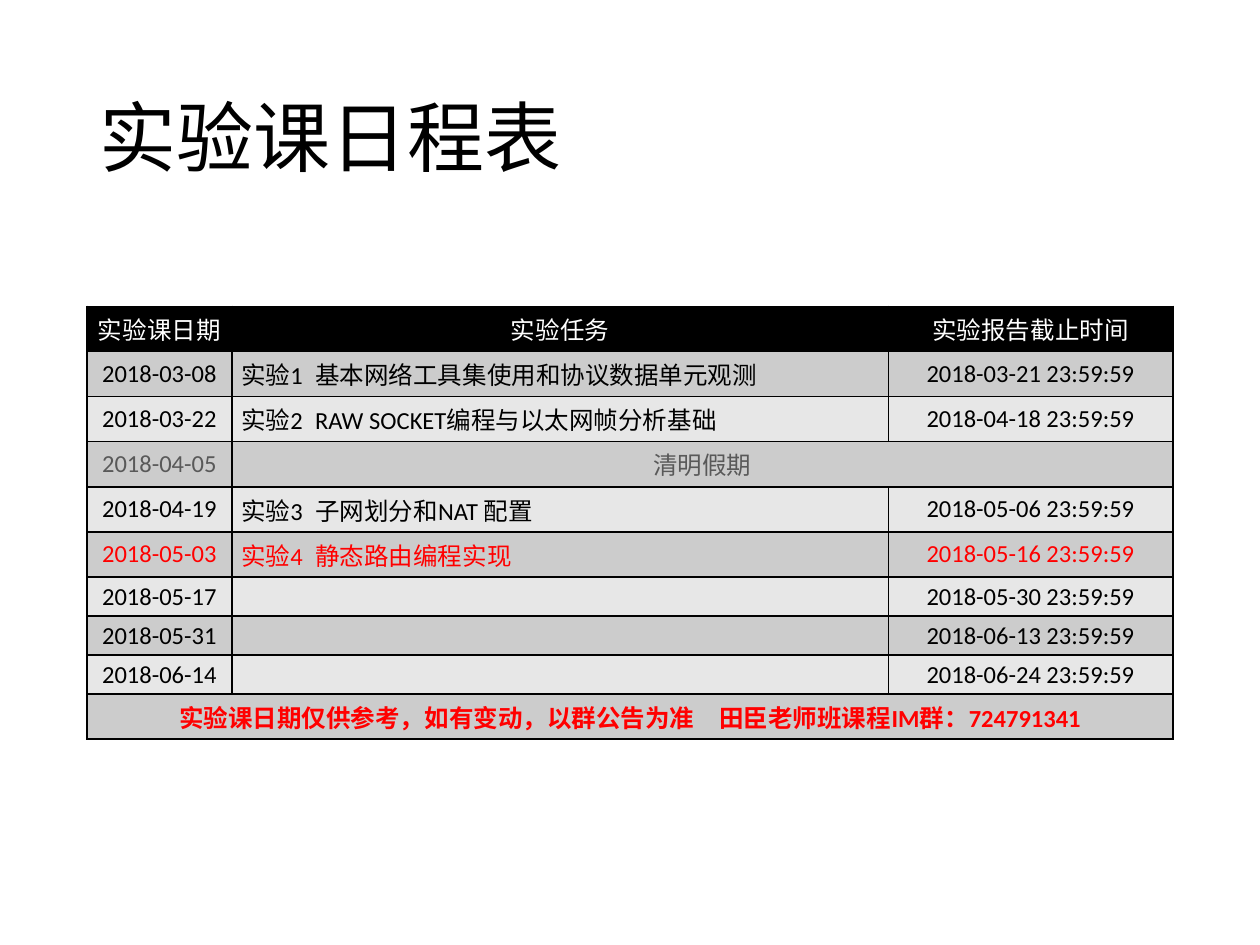
from lxml import etree
from pptx import Presentation
from pptx.dml.color import RGBColor
from pptx.enum import text
from pptx.oxml.ns import qn
from pptx.util import Pt

FONT = "Calibri"
BLACK, WHITE, RED, GREY = "000000", "FFFFFF", "FF0000", "595959"
BANDS = ("E7E7E7", "CCCCCC")
LEFT, WIDTH = 49.7, 620.6
COLUMN_WIDTHS = (82.8, 375.1, 162.7)
ROW_HEIGHT, OPEN_ROW_HEIGHT = 25.8, 22.3
BODY_SIZE = 14
CENTER, START = text.PP_ALIGN.CENTER, text.PP_ALIGN.LEFT

# Each row: text colour, then date, task and report deadline
SCHEDULE = (
    (WHITE, "实验课日期", "实验任务", "实验报告截止时间"),
    (BLACK, "2018-03-08", "实验1\u2002基本网络工具集使用和协议数据单元观测", "2018-03-21 23:59:59"),
    (BLACK, "2018-03-22", "实验2\u2002RAW SOCKET编程与以太网帧分析基础", "2018-04-18 23:59:59"),
    (GREY, "2018-04-05", "清明假期", ""),
    (BLACK, "2018-04-19", "实验3\u2002子网划分和NAT 配置", "2018-05-06 23:59:59"),
    (RED, "2018-05-03", "实验4\u2002静态路由编程实现", "2018-05-16 23:59:59"),
    (BLACK, "2018-05-17", "", "2018-05-30 23:59:59"),
    (BLACK, "2018-05-31", "", "2018-06-13 23:59:59"),
    (BLACK, "2018-06-14", "", "2018-06-24 23:59:59"),
    (RED, "实验课日期仅供参考，如有变动，以群公告为准\u3000田臣老师班课程IM群：724791341", "", ""),
)
HEADER, HOLIDAY, NOTICE = 0, 3, len(SCHEDULE) - 1
MERGES = ((HOLIDAY, 1), (NOTICE, 0))


def color(value):
    """Turn a hex string into a colour."""
    return RGBColor.from_string(value)


def apply(target, formats):
    """Set each attribute in formats on target."""
    for name, value in formats.items():
        setattr(target, name, value)


def write(paragraph, wording, size, ink, bold=False):
    """Put one formatted run in a paragraph."""
    run = paragraph.add_run()
    run.text = wording
    apply(run.font, {"name": FONT, "size": Pt(size), "bold": bold})
    run.font.color.rgb = color(ink)


def add_title(slide, wording):
    """Add the slide heading."""
    heading = slide.shapes.add_textbox(Pt(LEFT), Pt(28.8), Pt(WIDTH), Pt(104.4))
    apply(heading.text_frame, {"word_wrap": True,
                               "vertical_anchor": text.MSO_ANCHOR.MIDDLE})
    line = heading.text_frame.paragraphs[0]
    line.line_spacing = 0.9
    write(line, wording, 44, BLACK)


def add_borders(cell):
    """Draw thin black lines on all four sides of a cell."""
    properties = cell._tc.get_or_add_tcPr()
    for position, side in enumerate(("lnL", "lnR", "lnT", "lnB")):
        border = etree.Element(qn(f"a:{side}"), w=str(Pt(1)))
        fill = etree.SubElement(border, qn("a:solidFill"))
        etree.SubElement(fill, qn("a:srgbClr"), val=BLACK)
        properties.insert(position, border)


def fill_cell(cell, wording, ink, background, align, bold):
    """Format one cell and write its wording."""
    apply(cell, {"margin_left": Pt(5.4), "margin_right": Pt(5.4),
                 "margin_top": Pt(2.7), "margin_bottom": Pt(2.7),
                 "vertical_anchor": text.MSO_ANCHOR.MIDDLE})
    cell.fill.solid()
    cell.fill.fore_color.rgb = color(background)
    add_borders(cell)
    line = cell.text_frame.paragraphs[0]
    line.alignment = align
    if wording:
        write(line, wording, BODY_SIZE, ink, bold)
    else:
        etree.SubElement(line._p, qn("a:endParaRPr"), sz=str(BODY_SIZE * 100))


def add_schedule(slide):
    """Add the timetable with its header, holiday and notice rows."""
    heights = [ROW_HEIGHT if task or row == NOTICE else OPEN_ROW_HEIGHT
               for row, (_, _, task, _) in enumerate(SCHEDULE)]
    frame = slide.shapes.add_table(len(SCHEDULE), len(COLUMN_WIDTHS), Pt(LEFT),
                                   Pt(175), Pt(WIDTH), Pt(sum(heights)))
    schedule = frame.table
    for column, width in zip(schedule.columns, COLUMN_WIDTHS):
        column.width = Pt(width)
    for row, (ink, *entries) in enumerate(SCHEDULE):
        schedule.rows[row].height = Pt(heights[row])
        background = BLACK if row == HEADER else BANDS[row % 2]
        for column, wording in enumerate(entries):
            is_task = column == 1 and row not in (HEADER, HOLIDAY)
            fill_cell(schedule.cell(row, column), wording, ink, background,
                      START if is_task else CENTER, row == NOTICE)
    for row, first in MERGES:
        schedule.cell(row, first).merge(schedule.cell(row, len(COLUMN_WIDTHS) - 1))


def main():
    """Build and save the slide."""
    deck = Presentation()
    apply(deck, {"slide_width": Pt(720), "slide_height": Pt(540)})
    slide = deck.slides.add_slide(deck.slide_layouts[6])
    add_title(slide, "实验课日程表")
    add_schedule(slide)
    deck.save("out.pptx")


main()
